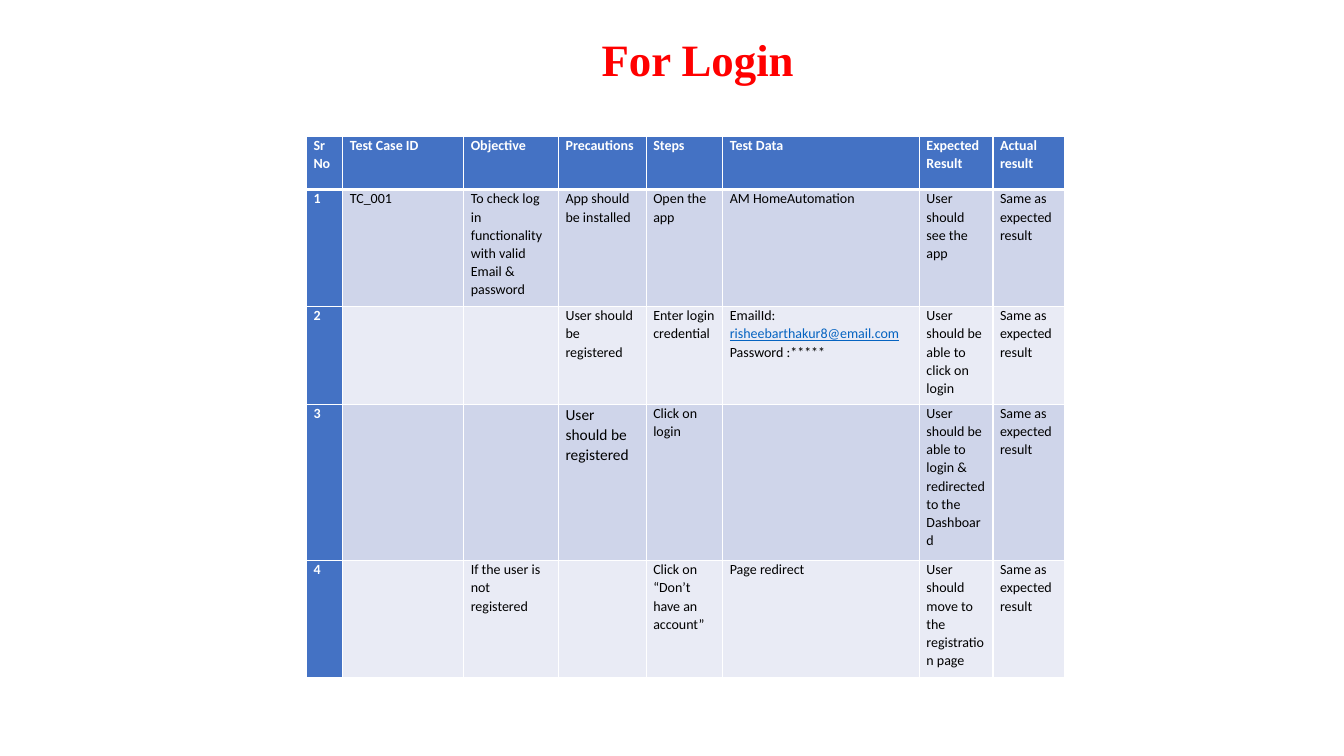
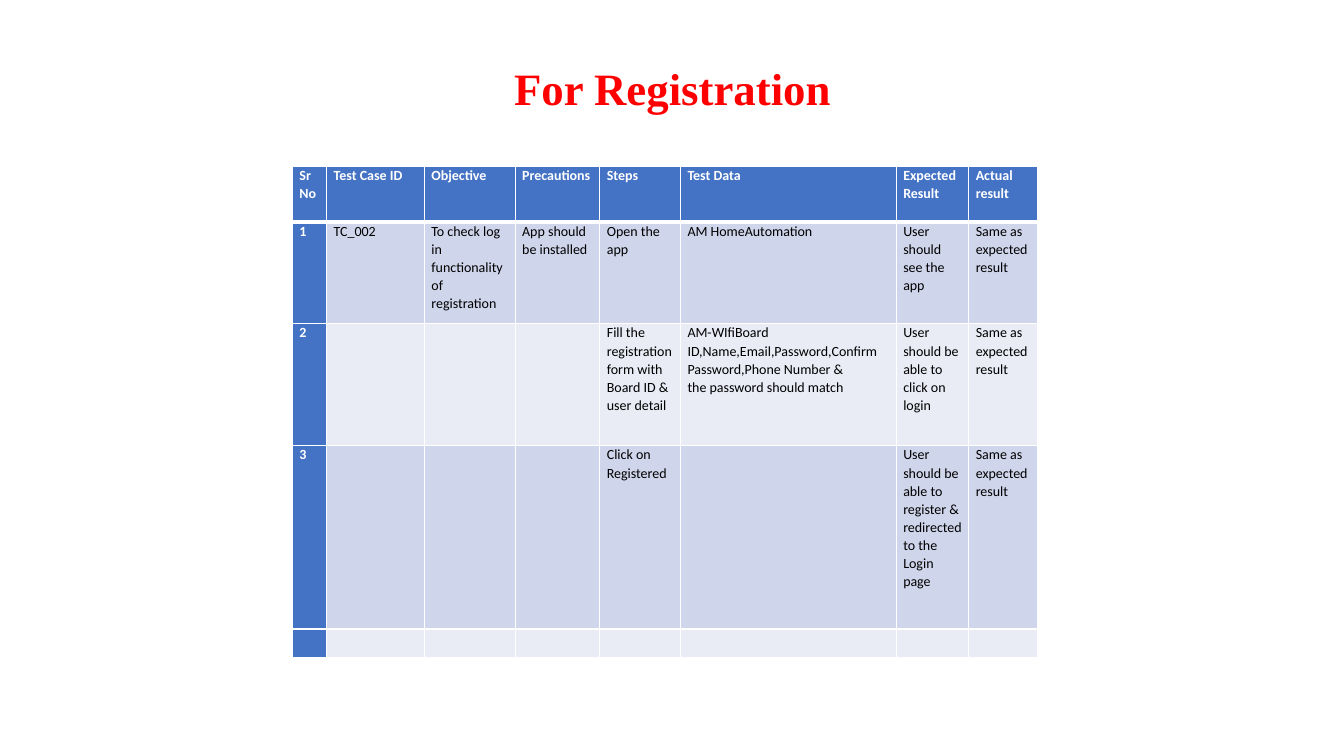
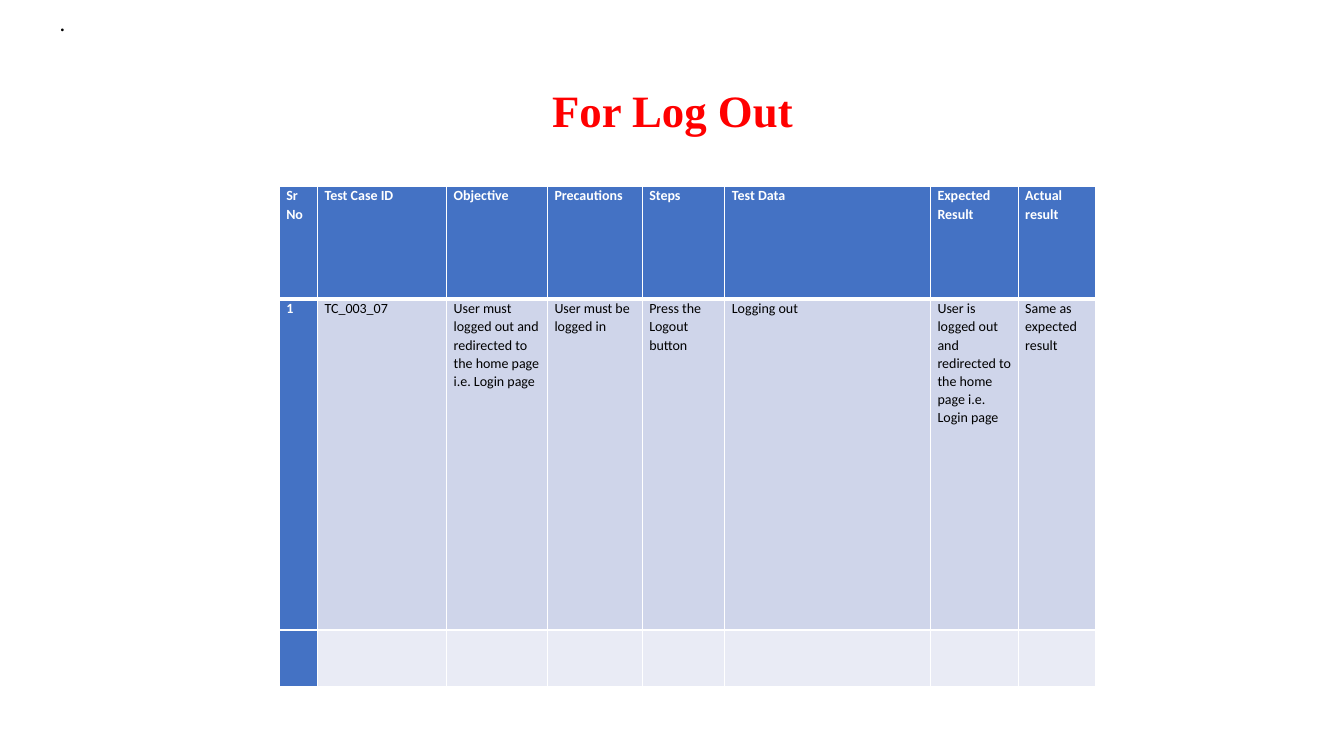
from lxml import etree
from pptx import Presentation
from pptx.dml.color import RGBColor
from pptx.enum.text import MSO_ANCHOR, MSO_AUTO_SIZE, PP_ALIGN
from pptx.oxml.ns import qn
from pptx.util import Inches, Pt

# Shared look
RED, BLACK, WHITE = "FF0000", "000000", "FFFFFF"
BLUE, BAND_DARK, BAND_LIGHT, LINK = "4472C4", "CFD5EA", "E9EBF5", "0563C1"
SERIF, SANS = "Times New Roman", "Calibri"
TITLE_LEFT, TITLE_WIDTH = 0.92, 11.5
FIRST_LINE = Inches(0.5)

# Shared wording
HEADER = ["Sr No", "Test Case ID", "Objective", "Precautions", "Steps",
          "Test Data", "Expected Result", "Actual result"]
EMAIL = "risheebarthakur8@email.com"
SAME = "Same as expected result"
INSTALLED = "App should be installed"
REGISTERED = "User should be registered"
APP_NAME = "AM HomeAutomation"
SEE_APP = "User should see the app"
CLICK_LOGIN = "User should be able to click on login"
EMPTY_ROW = [""] * len(HEADER)


def rgb(color):
    return RGBColor.from_string(color)


def add_run(p, text, size, color, name, bold=False, underline=False):
    r = p.add_run()
    r.text = text
    font = r.font
    font.size, font.name, font.bold = Pt(size), name, bold
    font.color.rgb = rgb(color)
    if underline:
        font.underline = True


def indent_first_line(p):
    pPr = p._p.get_or_add_pPr()
    pPr.set("marL", "0")
    pPr.set("indent", str(FIRST_LINE))


def add_title(slide, text, top, height, spacing=0.9, indented=False, raised=0):
    """Centred red title; raised is extra space kept free below the text."""
    sp = slide.shapes.title
    sp.left, sp.top = Inches(TITLE_LEFT), Inches(top)
    sp.width, sp.height = Inches(TITLE_WIDTH), Inches(height)
    tf = sp.text_frame
    tf.auto_size = MSO_AUTO_SIZE.NONE
    tf.vertical_anchor = MSO_ANCHOR.MIDDLE
    tf.margin_bottom = Inches(0.05 + raised)
    p = tf.paragraphs[0]
    p.alignment = PP_ALIGN.CENTER
    p.line_spacing = spacing
    if indented:
        indent_first_line(p)
    add_run(p, text, 32, RED, SERIF, bold=True)


def set_borders(cell, top, bottom):
    tcPr = cell._tc.get_or_add_tcPr()
    for side, width in (("L", 1), ("R", 1), ("T", top), ("B", bottom)):
        ln = etree.SubElement(tcPr, qn(f"a:ln{side}"), w=str(Pt(width)))
        fill = etree.SubElement(ln, qn("a:solidFill"))
        etree.SubElement(fill, qn("a:srgbClr"), val=WHITE)


def fill_cell(cell, text, row, col, size):
    set_borders(cell, 3 if row == 1 else 1, 3 if row == 0 else 1)
    heading = row == 0 or col == 0
    band = BAND_DARK if row % 2 else BAND_LIGHT
    cell.fill.solid()
    cell.fill.fore_color.rgb = rgb(BLUE if heading else band)
    cell.margin_left = cell.margin_right = Inches(0.07)
    cell.margin_top = cell.margin_bottom = 0
    tf = cell.text_frame
    if not text:
        etree.SubElement(tf.paragraphs[0]._p, qn("a:endParaRPr"), sz=str(size * 100))
        return
    for i, line in enumerate(text.split("\n")):
        p = tf.add_paragraph() if i else tf.paragraphs[0]
        p.line_spacing = 1.07
        for part in line.partition(EMAIL):
            if part == EMAIL:
                add_run(p, part, size, LINK, SANS, underline=True)
            elif part:
                add_run(p, part, size, WHITE if heading else BLACK, SANS, bold=heading)


def add_test_table(slide, left, top, widths, heights, cases, sizes=None):
    """Test case table; sizes gives text sizes for cells that differ from 10 pt."""
    rows = [HEADER] + cases
    table = slide.shapes.add_table(
        len(rows), len(HEADER), Inches(left), Inches(top),
        Inches(sum(widths)), Inches(sum(heights))).table
    table.first_col = True
    for column, width in zip(table.columns, widths):
        column.width = Inches(width)
    for table_row, height in zip(table.rows, heights):
        table_row.height = Inches(height)
    for row, texts in enumerate(rows):
        for col, text in enumerate(texts):
            size = (sizes or {}).get((row, col), 10)
            fill_cell(table.cell(row, col), text, row, col, size)


def add_dot(slide, left, top, width, height):
    sp = slide.shapes.add_textbox(Inches(left), Inches(top), Inches(width), Inches(height))
    tf = sp.text_frame
    tf.word_wrap = False
    tf.auto_size = MSO_AUTO_SIZE.SHAPE_TO_FIT_TEXT
    tf.vertical_anchor = MSO_ANCHOR.MIDDLE
    p = tf.paragraphs[0]
    indent_first_line(p)
    add_run(p, ".", 12, BLACK, SERIF, bold=True)


def login_slide(slide):
    add_title(slide, "For Login", 0.44, 0.28, spacing=1.0, indented=True)
    cases = [
        ["1", "TC_001", "To check log in functionality with valid Email & password",
         INSTALLED, "Open the app", APP_NAME, SEE_APP, SAME],
        ["2", "", "", REGISTERED, "Enter login credential",
         f"EmailId: {EMAIL}\nPassword :*****", CLICK_LOGIN, SAME],
        ["3", "", "", REGISTERED, "Click on login", "",
         "User should be able to login & redirected to the Dashboard", SAME],
        ["4", "", "If the user is not\nregistered", "",
         "Click on “Don’t have an account”", "Page redirect",
         "User should move to the registration page", SAME],
    ]
    add_test_table(slide, 3.04, 1.35,
                   [0.36, 1.2, 0.94, 0.87, 0.76, 1.95, 0.73, 0.71],
                   [0.53, 1.16, 0.97, 1.55, 1.16], cases, sizes={(3, 3): 11})


def registration_slide(slide):
    add_title(slide, "For Registration", 0.4, 1.45, raised=0.45)
    cases = [
        ["1", "TC_002", "To check log in functionality of registration",
         INSTALLED, "Open the app", APP_NAME, SEE_APP, SAME],
        ["2", "", "", "", "Fill the registration form with Board ID & user detail",
         "AM-WIfiBoard ID,Name,Email,Password,Confirm\n"
         "Password,Phone Number &\nthe password should match", CLICK_LOGIN, SAME],
        ["3", "", "", "", "Click on Registered", "",
         "User should be able to register & redirected to the Login page", SAME],
        EMPTY_ROW,
    ]
    add_test_table(slide, 2.9, 1.65,
                   [0.34, 0.97, 0.9, 0.84, 0.8, 2.14, 0.72, 0.68],
                   [0.55, 1.01, 1.21, 1.82, 0.28], cases)


def logout_slide(slide):
    add_title(slide, "For Log Out", 0.4, 1.45)
    cases = [
        ["1", "TC_003_07",
         "User must logged out and redirected to the home page i.e. Login page",
         "User must be logged in", "Press the Logout button", "Logging out",
         "User is logged out and redirected to the home page i.e. Login page", SAME],
        EMPTY_ROW,
    ]
    add_test_table(slide, 2.77, 1.85,
                   [0.38, 1.28, 1, 0.94, 0.82, 2.04, 0.87, 0.77],
                   [1.12, 3.28, 0.56], cases)
    add_dot(slide, 0, 0.1, 0.79, 0.3)


def main():
    prs = Presentation()
    prs.slide_width, prs.slide_height = Inches(13.33), Inches(7.5)
    title_only = prs.slide_layouts[5]
    for build in (login_slide, registration_slide, logout_slide):
        build(prs.slides.add_slide(title_only))
    prs.save("out.pptx")


if __name__ == "__main__":
    main()
